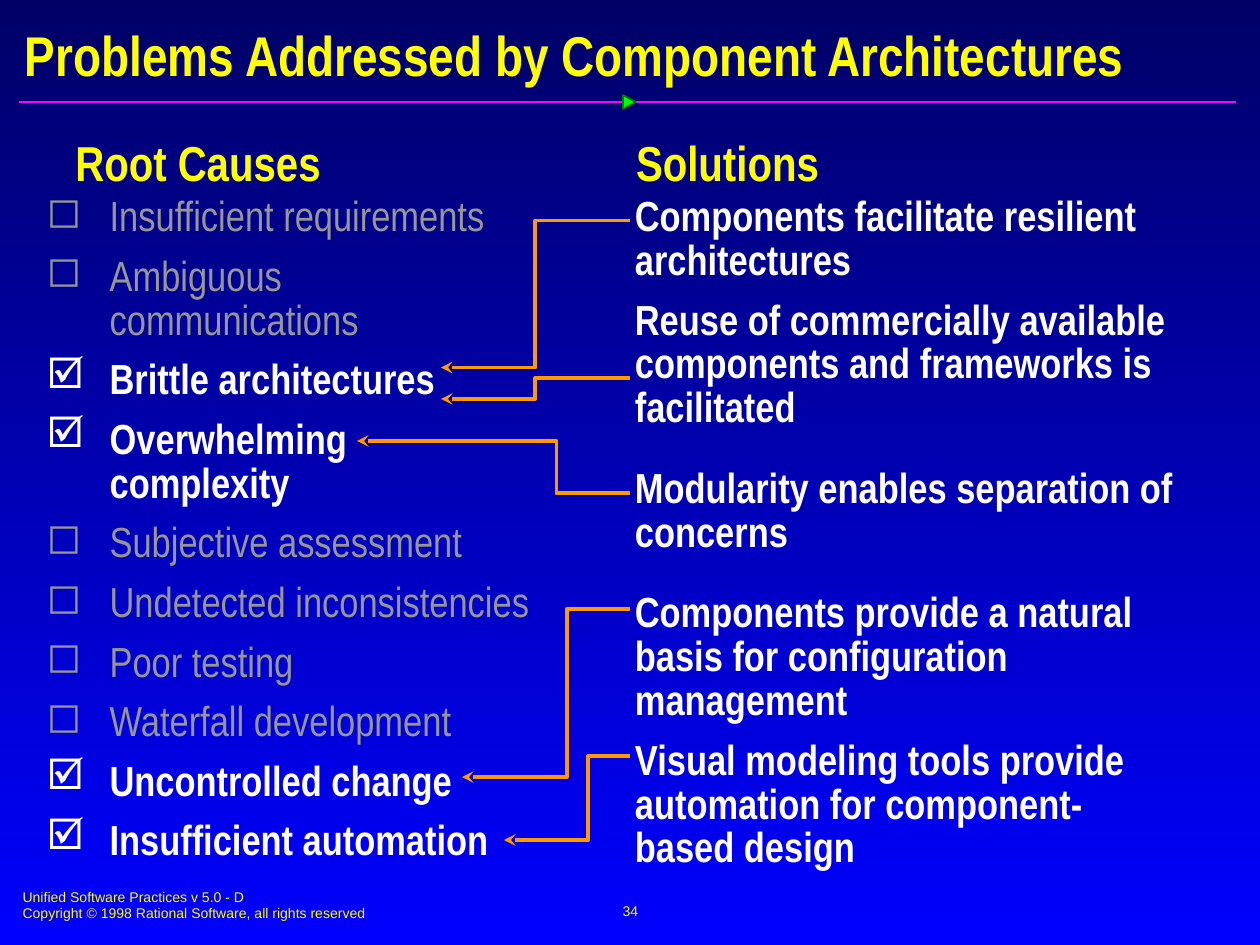
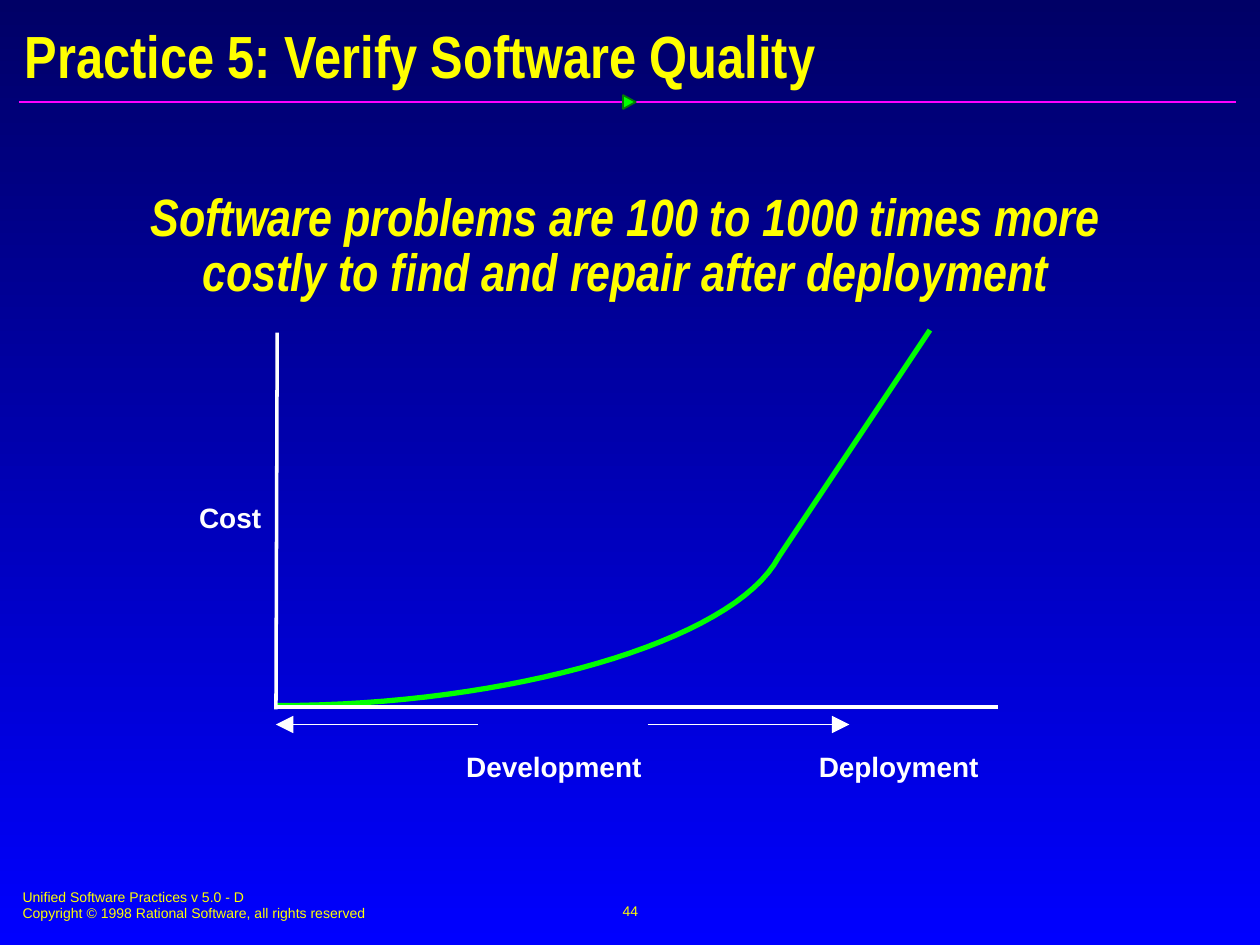
from dataclasses import dataclass

from lxml import etree
from pptx import Presentation
from pptx.dml.color import RGBColor
from pptx.enum.shapes import MSO_CONNECTOR, MSO_SHAPE
from pptx.enum.text import MSO_ANCHOR, PP_ALIGN
from pptx.oxml.ns import qn
from pptx.util import Pt

STRAIGHT = MSO_CONNECTOR.STRAIGHT
TRIANGLE = MSO_SHAPE.ISOSCELES_TRIANGLE
TOP, MIDDLE = MSO_ANCHOR.TOP, MSO_ANCHOR.MIDDLE
LEFT, CENTER = PP_ALIGN.LEFT, PP_ALIGN.CENTER

NAVY, BLUE = "000066", "0000FF"
YELLOW, WHITE, GRAY = "FFFF00", "FFFFFF", "969696"
MAGENTA, GREEN, DARK_GREEN, ORANGE = "FF01FF", "00FF00", "037C03", "FF9900"
ARIAL, NARROW = "Arial", "Arial Narrow"

FOOTER = [
    "Unified Software Practices v 5.0 - D",
    "Copyright © 1998 Rational Software, all rights reserved",
]


@dataclass
class Label:
    x: float
    y: float
    w: float
    h: float
    lines: list[str]
    size: float
    font: str = NARROW
    color: str = YELLOW
    bold: bool = True
    italic: bool = False
    align: PP_ALIGN = LEFT
    anchor: MSO_ANCHOR = TOP
    inset_x: float = 7.2
    inset_y: float = 3.6
    spacing: float = 1.0


@dataclass
class Line:
    x1: float
    y1: float
    x2: float
    y2: float
    color: str
    width: float
    arrow: str = ""


@dataclass
class Cause:
    text: str
    addressed: bool = False


@dataclass
class Solution:
    text: str
    space_before: float = 9


@dataclass
class Link:
    tip_x: float
    tip_y: float
    bend_x: float
    solution_y: float


CAUSES = [
    Cause("Insufficient requirements"),
    Cause("Ambiguous communications"),
    Cause("Brittle architectures", True),
    Cause("Overwhelming complexity", True),
    Cause("Subjective assessment"),
    Cause("Undetected inconsistencies"),
    Cause("Poor testing"),
    Cause("Waterfall development"),
    Cause("Uncontrolled change", True),
    Cause("Insufficient automation", True),
]
SOLUTIONS = [
    Solution("Components facilitate resilient architectures", 0),
    Solution("Reuse of commercially available components and frameworks is facilitated"),
    Solution("Modularity enables separation of concerns", 21),
    Solution("Components provide a natural basis for configuration management", 21),
    Solution("Visual modeling tools provide automation for component-based design"),
]
LINKS = [
    Link(252, 210, 306, 126),
    Link(204, 252, 318, 282),
    Link(264, 444, 324, 348),
    Link(288, 480, 336, 432),
    Link(252, 228, 306, 216),
]
SOLUTION_EDGE = 360
COST_CURVE = [(158.4, 403.2), (290, 403.2), (419, 367.2), (445, 318.2)]
CURVE_STEPS = 32


def rgb(color: str) -> RGBColor:
    return RGBColor.from_string(color)


def add_label(slide, label: Label):
    s = slide.shapes.add_textbox(Pt(label.x), Pt(label.y), Pt(label.w), Pt(label.h))
    tf = s.text_frame
    tf.word_wrap = True
    tf.vertical_anchor = label.anchor
    tf.margin_left = tf.margin_right = Pt(label.inset_x)
    tf.margin_top = tf.margin_bottom = Pt(label.inset_y)
    tf.text = "\n".join(label.lines)
    for p in tf.paragraphs:
        p.alignment = label.align
        p.line_spacing = label.spacing
        for r in p.runs:
            r.font.name = label.font
            r.font.size = Pt(label.size)
            r.font.bold = label.bold
            r.font.italic = label.italic
            r.font.color.rgb = rgb(label.color)
    return tf


def style_line(s, color: str, width: float) -> None:
    s.line.color.rgb = rgb(color)
    s.line.width = Pt(width)


def add_line(slide, line: Line) -> None:
    s = slide.shapes.add_connector(
        STRAIGHT, Pt(line.x1), Pt(line.y1), Pt(line.x2), Pt(line.y2)
    )
    style_line(s, line.color, line.width)
    if line.arrow:
        etree.SubElement(s.get_or_add_ln(), qn("a:tailEnd"),
                         type=line.arrow, w="lg", len="lg")
    etree.SubElement(s._element.spPr, qn("a:effectLst"))


def add_polyline(slide, points: list[tuple[float, float]], color: str, width: float):
    (x, y), *rest = [(Pt(px), Pt(py)) for px, py in points]
    builder = slide.shapes.build_freeform(x, y)
    builder.add_line_segments(rest, close=False)
    s = builder.convert_to_shape()
    s.shadow.inherit = False
    s.fill.background()
    style_line(s, color, width)
    return s


def add_bullet(p, char: str, color: str) -> None:
    pPr = p._p.get_or_add_pPr()
    pPr.set("marL", str(Pt(36)))
    pPr.set("indent", str(Pt(-36)))
    bullet_color = etree.SubElement(pPr, qn("a:buClr"))
    etree.SubElement(bullet_color, qn("a:srgbClr"), val=color)
    etree.SubElement(pPr, qn("a:buChar"), char=char)


def add_tabs(p, stops: list[float]) -> None:
    tabs = etree.SubElement(p._p.get_or_add_pPr(), qn("a:tabLst"))
    for stop in stops:
        etree.SubElement(tabs, qn("a:tab"), pos=str(Pt(stop)), algn="l")


def cubic(points: list[tuple[float, float]], t: float) -> tuple[float, float]:
    weights = ((1 - t) ** 3, 3 * t * (1 - t) ** 2, 3 * t * t * (1 - t), t**3)
    x, y = (sum(w * v for w, v in zip(weights, axis)) for axis in zip(*points))
    return x, y


def add_base_slide(prs, title: str, title_size: float, number: int):
    slide = prs.slides.add_slide(prs.slide_layouts[6])
    fill = slide.background.fill
    fill.gradient()
    fill.gradient_angle = 270
    for stop, color, position in zip(fill.gradient_stops, (NAVY, BLUE), (0, 1)):
        stop.color.rgb = rgb(color)
        stop.position = position
    add_line(slide, Line(10.8, 58.3, 706.3, 58.3, MAGENTA, 1))
    s = slide.shapes.add_shape(TRIANGLE, Pt(355.7), Pt(54.7), Pt(7.9), Pt(7.2))
    s.rotation = 90
    s.shadow.inherit = False
    s.fill.solid()
    s.fill.fore_color.rgb = rgb(GREEN)
    style_line(s, DARK_GREEN, 1)
    add_label(slide, Label(5.8, 504, 367, 26.6, FOOTER, 8, ARIAL, bold=False))
    add_label(slide, Label(246.2, 502.6, 228.2, 36, [str(number)], 8, ARIAL,
                           bold=False, align=CENTER, anchor=MIDDLE))
    add_label(slide, Label(7.2, 10.1, 708.5, 41.8, [title], title_size, anchor=MIDDLE))
    return slide


def build_component_slide(prs) -> None:
    slide = add_base_slide(prs, "Problems Addressed by Component Architectures", 32, 34)
    solutions = add_label(slide, Label(
        354.2, 108, 328.3, 397.4, [item.text for item in SOLUTIONS], 24,
        color=WHITE, inset_x=8.64, inset_y=4.32, spacing=0.87))
    for p, item in zip(solutions.paragraphs, SOLUTIONS):
        p.space_before = Pt(item.space_before)
    for x, heading in ((36, "Root Causes"), (356.4, "Solutions")):
        add_label(slide, Label(x, 72, 180, 41, [heading], 28))
    causes = add_label(slide, Label(
        18, 108, 293.8, 397.4, [cause.text for cause in CAUSES], 24,
        inset_x=8.64, inset_y=4.32, spacing=0.87))
    for i, (p, cause) in enumerate(zip(causes.paragraphs, CAUSES)):
        color = WHITE if cause.addressed else GRAY
        p.space_before = Pt(9 if i else 0)
        add_bullet(p, "☑" if cause.addressed else "◻", color)
        for r in p.runs:
            r.font.bold = cause.addressed
            r.font.color.rgb = rgb(color)
    for link in LINKS:
        s = add_polyline(slide, [
            (link.tip_x, link.tip_y),
            (link.bend_x, link.tip_y),
            (link.bend_x, link.solution_y),
            (SOLUTION_EDGE, link.solution_y),
        ], ORANGE, 2.25)
        etree.SubElement(s.get_or_add_ln(), qn("a:headEnd"), type="stealth")


def build_quality_slide(prs) -> None:
    slide = add_base_slide(prs, "Practice 5: Verify Software Quality", 34, 44)
    add_label(slide, Label(
        26, 106.6, 663.1, 69.1,
        ["Software problems are 100 to 1000 times more",
         "costly to find and repair after deployment"],
        30, italic=True, align=CENTER, inset_x=6.5, spacing=0.87))
    add_line(slide, Line(445, 318.2, 531.4, 188.6, GREEN, 3))
    curve = [cubic(COST_CURVE, i / CURVE_STEPS) for i in range(CURVE_STEPS + 1)]
    add_polyline(slide, curve, GREEN, 3)
    phases = add_label(slide, Label(
        158.4, 427.7, 434.9, 23.8, ["\tDevelopment\tDeployment"], 16, ARIAL, WHITE,
        inset_x=6.5, inset_y=2.9, spacing=0.9))
    add_tabs(phases.paragraphs[0], [101.5, 303])
    add_label(slide, Label(107.3, 285.1, 51.8, 23.8, ["Cost"], 16, ARIAL, WHITE,
                           inset_x=6.5, inset_y=2.9, spacing=0.9))
    for line in (
        Line(158.4, 190.1, 157.7, 405.4, WHITE, 2),
        Line(158.4, 403.9, 570.2, 403.9, WHITE, 2),
        Line(370.1, 414, 485.3, 414, WHITE, 1, "triangle"),
        Line(272.9, 414, 157.7, 414, WHITE, 1, "triangle"),
    ):
        add_line(slide, line)


def main() -> None:
    prs = Presentation()
    prs.slide_width, prs.slide_height = Pt(720), Pt(540)
    build_component_slide(prs)
    build_quality_slide(prs)
    prs.save("out.pptx")


if __name__ == "__main__":
    main()
